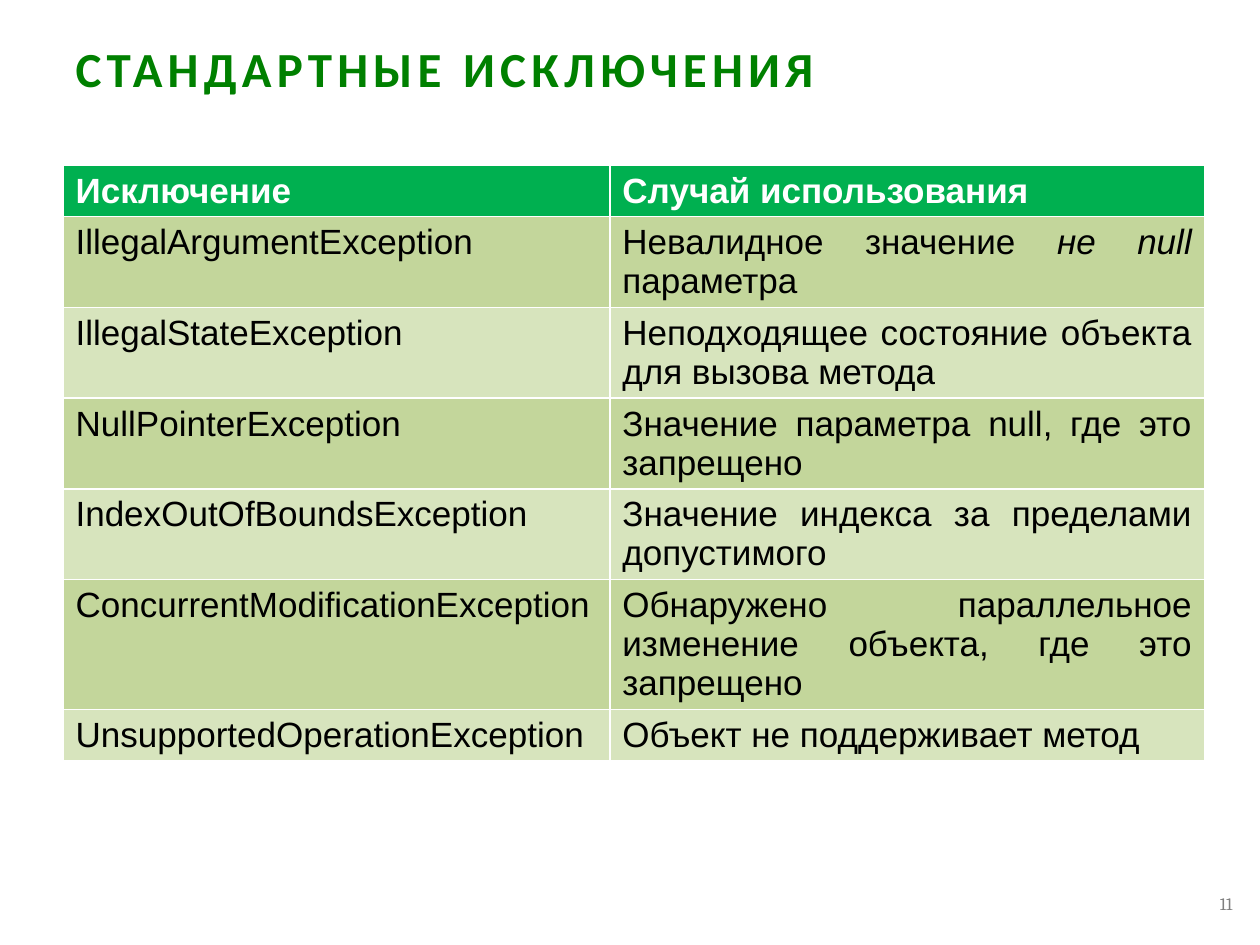
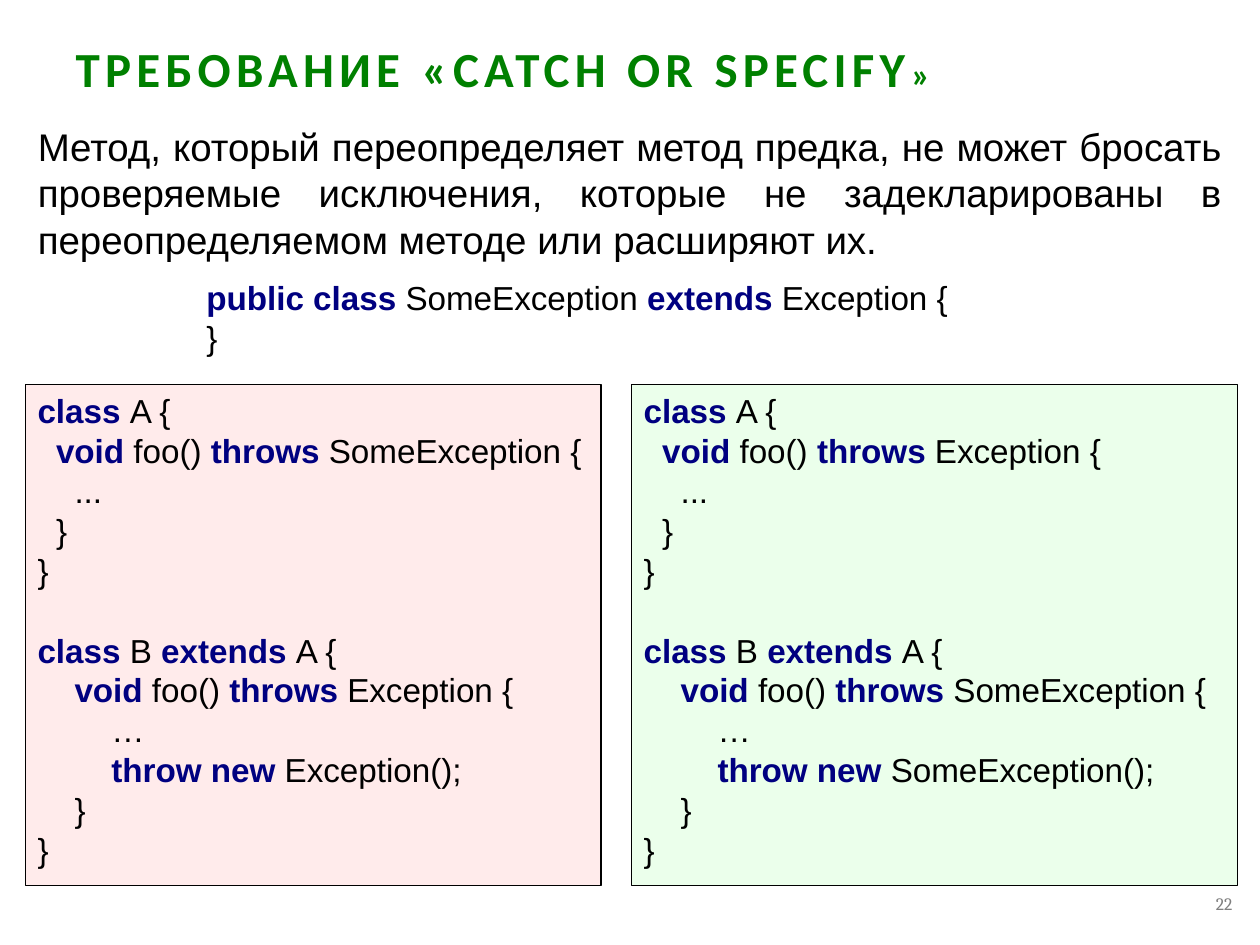
import itertools

import pptx
import pptx.dml.color
import pptx.enum.shapes
import pptx.enum.text
import pptx.util
from lxml import etree

RGB = pptx.dml.color.RGBColor
Pt = pptx.util.Pt
ALIGN = pptx.enum.text.PP_ALIGN
ANCHOR = pptx.enum.text.MSO_ANCHOR

EMU_PER_PX = 9144  # 100 px to the inch
DRAWING_NS = "{http://schemas.openxmlformats.org/drawingml/2006/main}"

BLACK = RGB(0x00, 0x00, 0x00)
WHITE = RGB(0xFF, 0xFF, 0xFF)
GRAY = RGB(0x80, 0x80, 0x80)
TITLE_GREEN = RGB(0x00, 0x80, 0x00)
HEADER_GREEN = RGB(0x00, 0xB0, 0x50)
ROW_DARK = RGB(0xC3, 0xD6, 0x9B)
ROW_LIGHT = RGB(0xD7, 0xE4, 0xBD)
KEYWORD_NAVY = RGB(0x00, 0x00, 0x80)
WRONG_PINK = RGB(0xFF, 0xEB, 0xEB)
RIGHT_GREEN = RGB(0xEB, 0xFF, 0xEB)

TITLE_ONLY, TITLE_AND_CONTENT = 5, 1
KEYWORDS = {"public", "class", "extends", "void", "throws", "throw", "new"}
CODE_SIZE = 19
CODE_LEADING = 22.8
CODE_SPACE = 5.28  # width of one space at CODE_SIZE

EXCEPTION_ROWS = [
    ("IllegalArgumentException", ["Невалидное значение ", "*не null ", "параметра"]),
    ("IllegalStateException", ["Неподходящее состояние объекта для вызова метода"]),
    ("NullPointerException", ["Значение параметра null, где это запрещено"]),
    ("IndexOutOfBoundsException", ["Значение индекса за пределами допустимого"]),
    ("ConcurrentModificationException",
     ["Обнаружено параллельное изменение объекта, где это запрещено"]),
    ("UnsupportedOperationException", ["Объект не поддерживает метод"]),
]

OVERRIDE_RULE = (
    "Метод, который переопределяет метод предка, не может бросать проверяемые "
    "исключения, которые не задекларированы в переопределяемом методе или расширяют их."
)

EXCEPTION_CODE = """public class SomeException extends Exception {
}"""

OVERRIDE_CODE = """class A {
  void foo() throws %(parent)s {
    ...
  }
}

class B extends A {
    void foo() throws %(child)s {
        …
        throw new %(child)s();
    }
}"""


def px(*lengths):
    return [pptx.util.Emu(n * EMU_PER_PX) for n in lengths]


class Deck:
    def __init__(self):
        self.prs = pptx.Presentation()
        self.prs.slide_width, self.prs.slide_height = px(1000, 750)
        self.slide = None

    def add_slide(self, layout, number, *title_runs):
        """Start a slide; title_runs are (text, size) pairs."""
        self.slide = self.prs.slides.add_slide(self.prs.slide_layouts[layout])
        sp = self.slide.shapes.title
        tf = self.place(sp, 50, 38, 812, 38, ANCHOR.MIDDLE)
        p = tf.paragraphs[0]
        p.alignment = ALIGN.LEFT
        p.line_spacing = 0.9
        for text, size in title_runs:
            r = self.run(p, text, size, TITLE_GREEN, "Calibri", bold=True)
            r._r.get_or_add_rPr().set("spc", "300")

        tf = self.textbox(755, 697, 233, 40, ANCHOR.MIDDLE)
        p = tf.paragraphs[0]
        p.alignment = ALIGN.RIGHT
        self.run(p, str(number), 10, GRAY, "Cambria")

    def place(self, sp, left, top, width, height, anchor=ANCHOR.TOP):
        sp.left, sp.top, sp.width, sp.height = px(left, top, width, height)
        tf = sp.text_frame
        tf.word_wrap = True
        tf.auto_size = pptx.enum.text.MSO_AUTO_SIZE.NONE
        tf.vertical_anchor = anchor
        return tf

    def textbox(self, *box):
        return self.place(self.slide.shapes.add_textbox(0, 0, 0, 0), *box)

    def run(self, p, text, size, color=BLACK, font="Arial", bold=False, italic=False):
        r = p.add_run()
        r.text = text
        r.font.name = font
        r.font.size = Pt(size)
        r.font.color.rgb = color
        r.font.bold = bold
        r.font.italic = italic
        return r

    def body(self, text, *box):
        p = self.place(self.slide.placeholders[1], *box).paragraphs[0]
        p.alignment = ALIGN.JUSTIFY
        p.line_spacing = Pt(26.6)
        p.space_before = Pt(0)
        pPr = p._p.get_or_add_pPr()
        pPr.set("marL", "0")
        pPr.set("indent", "0")
        etree.SubElement(pPr, DRAWING_NS + "buNone")
        self.run(p, text, 22)

    def code(self, tf, source):
        """Write one paragraph per line, with indents and gaps as spacing."""
        p, gap = None, 0
        for line in source.splitlines():
            if not line:
                gap = CODE_LEADING
                continue
            p = tf.add_paragraph() if p else tf.paragraphs[0]
            p.alignment = ALIGN.LEFT
            p.line_spacing = Pt(CODE_LEADING)
            p.space_before = Pt(gap)
            gap = 0
            words = line.split()
            indent = len(line) - len(line.lstrip())
            p._p.get_or_add_pPr().set("marL", str(Pt(indent * CODE_SPACE)))
            spaced = [word + " " for word in words[:-1]] + words[-1:]
            for is_keyword, group in itertools.groupby(
                    spaced, lambda word: word.strip() in KEYWORDS):
                color = KEYWORD_NAVY if is_keyword else BLACK
                self.run(p, "".join(group), CODE_SIZE, color, bold=is_keyword)

    def code_panel(self, source, fill, *box):
        sp = self.slide.shapes.add_shape(
            pptx.enum.shapes.MSO_SHAPE.RECTANGLE, 0, 0, 0, 0)
        sp.shadow.inherit = False
        sp.fill.solid()
        sp.fill.fore_color.rgb = fill
        sp.line.color.rgb = BLACK
        sp.line.width = Pt(0.75)
        self.code(self.place(sp, *box), source)

    def cell(self, cell, texts, fill, color=BLACK, bold=False):
        """Fill a table cell; a text that starts with * is italic."""
        cell.fill.solid()
        cell.fill.fore_color.rgb = fill
        p = cell.text_frame.paragraphs[0]
        p.alignment = ALIGN.JUSTIFY
        for text in texts:
            self.run(p, text.lstrip("*"), 20, color, bold=bold,
                     italic=text.startswith("*"))

    def table(self, header, rows, left, top, col_widths, row_height):
        count = len(rows) + 1
        frame = self.slide.shapes.add_table(
            count, len(header),
            *px(left, top, sum(col_widths), row_height * count))
        table = frame.table
        for column, width in zip(table.columns, px(*col_widths)):
            column.width = width
        for col, text in enumerate(header):
            self.cell(table.cell(0, col), [text], HEADER_GREEN, WHITE, bold=True)
        for row, (name, usage) in enumerate(rows, 1):
            fill = ROW_DARK if row % 2 else ROW_LIGHT
            self.cell(table.cell(row, 0), [name], fill)
            self.cell(table.cell(row, 1), usage, fill)


def main():
    deck = Deck()

    deck.add_slide(TITLE_ONLY, 11, ("СТАНДАРТНЫЕ ИСКЛЮЧЕНИЯ", 28))
    deck.table(("Исключение", "Случай использования"), EXCEPTION_ROWS,
               50, 131, (434, 472), 41)

    deck.add_slide(TITLE_AND_CONTENT, 22,
                   ("ТРЕБОВАНИЕ «CATCH OR SPECIFY", 28), ("»", 20))
    deck.body(OVERRIDE_RULE, 20, 92, 960, 121)
    deck.code(deck.textbox(154, 215, 617, 74), EXCEPTION_CODE)
    narrow, wide = "SomeException", "Exception"
    for parent, child, fill, left, width in (
            (narrow, wide, WRONG_PINK, 20, 457),
            (wide, narrow, RIGHT_GREEN, 501, 481)):
        source = OVERRIDE_CODE % {"parent": parent, "child": child}
        deck.code_panel(source, fill, left, 305, width, 398)

    deck.prs.save("out.pptx")


if __name__ == "__main__":
    main()
